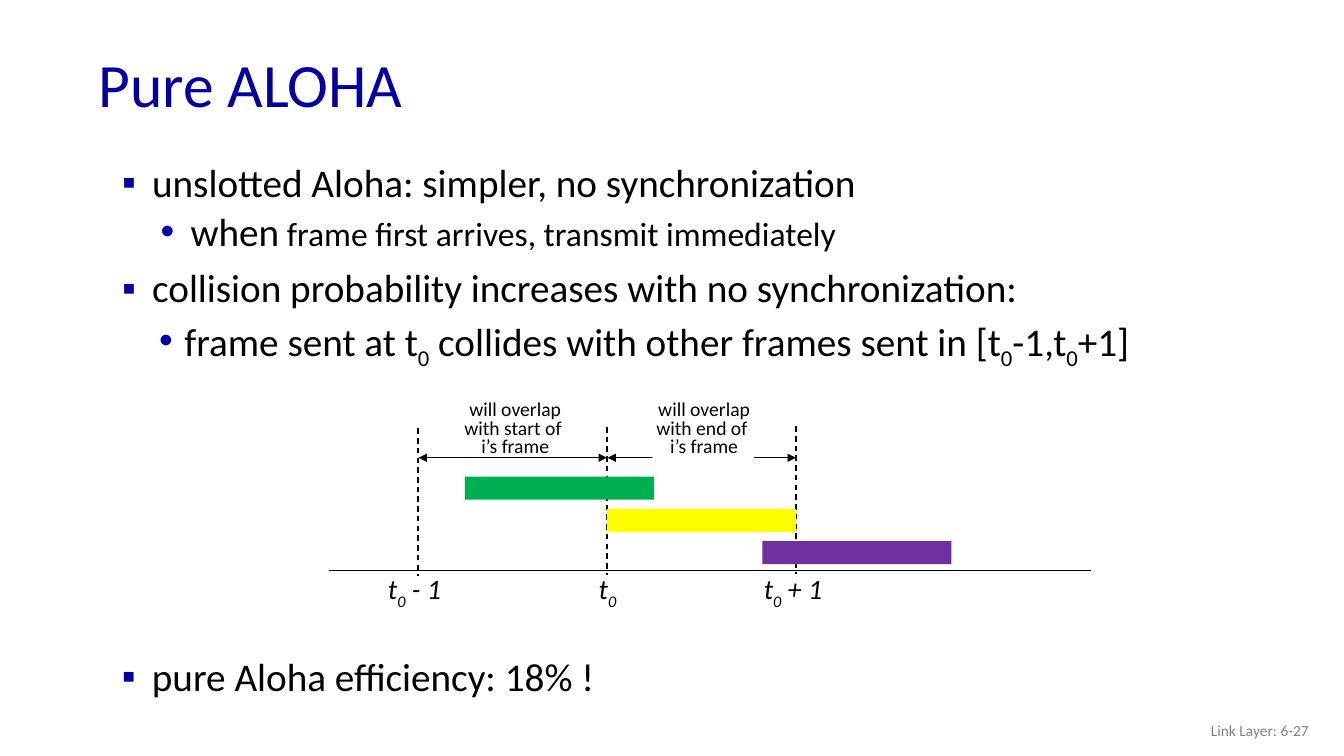
import pptx
import pptx.dml.color
import pptx.enum.dml
import pptx.enum.shapes
import pptx.enum.text
import pptx.oxml.ns
import pptx.util
from lxml import etree

Pt = pptx.util.Pt
ALIGN = pptx.enum.text.PP_ALIGN
ANCHOR = pptx.enum.text.MSO_ANCHOR
NO_FIT = pptx.enum.text.MSO_AUTO_SIZE.NONE
FONT = "Calibri"
BLUE = "0000A3"

T0 = 433.5
FRAME = 135
AXIS_Y = 407.5
ARROW_Y = 327

# level, left margin, hanging indent, runs as (text, size); ~ encloses subscripts
MAIN_POINTS = [
    (0, 31.5, 21.5, [("unslotted Aloha: simpler, no synchronization", 28)]),
    (1, 59, 21.5, [("when", 28), (" frame first arrives, transmit immediately", 24)]),
    (0, 31.5, 21.5, [("collision probability increases with no synchronization:", 28)]),
    (1, 54.5, 18, [("frame sent at t~0~ collides with other frames sent in [t~0~-1,t~0~+1]", 28)]),
]
EFFICIENCY = [(0, 31.5, 21.5, [("pure Aloha efficiency: 18% !", 28)])]


def rgb(color):
    return pptx.dml.color.RGBColor.from_string(color)


def add_child(parent, tag, **attrs):
    return etree.SubElement(parent, pptx.oxml.ns.qn(tag), **attrs)


def place(s, left, top, width, height):
    s.left, s.top, s.width, s.height = Pt(left), Pt(top), Pt(width), Pt(height)


def add_runs(p, text, size, color="000000", italic=False):
    """Write text into p, lowering the parts enclosed by ~."""
    for i, part in enumerate(text.split("~")):
        if not part:
            continue
        r = p.add_run()
        r.text = part
        r.font.name = FONT
        r.font.size = Pt(size)
        r.font.italic = italic
        r.font.color.rgb = rgb(color)
        if i % 2:
            r.font._element.set("baseline", "-25000")


def add_bullet(p, level, margin, hanging):
    char, color = (("▪", BLUE), ("•", "0000A8"))[level]
    pPr = p._p.get_or_add_pPr()
    pPr.set("marL", str(Pt(margin)))
    pPr.set("indent", str(-Pt(hanging)))
    add_child(add_child(pPr, "a:buClr"), "a:srgbClr", val=color)
    add_child(pPr, "a:buFont", typeface="Arial")
    add_child(pPr, "a:buChar", char=char)


def fill_list(tf, points):
    tf.word_wrap = True
    tf.auto_size = NO_FIT
    for i, (level, margin, hanging, runs) in enumerate(points):
        p = tf.add_paragraph() if i else tf.paragraphs[0]
        p.level = level
        p.line_spacing = 0.9
        p.space_before = Pt((10, 5)[level] if i else 0)
        add_bullet(p, level, margin, hanging)
        for text, size in runs:
            add_runs(p, text, size)


def add_text(slide, box, lines, size, color="000000", align=ALIGN.LEFT,
             spacing=1.0, italic=False):
    s = slide.shapes.add_textbox(*map(Pt, box))
    tf = s.text_frame
    tf.word_wrap = False
    for i, line in enumerate(lines):
        p = tf.add_paragraph() if i else tf.paragraphs[0]
        p.alignment = align
        p.line_spacing = spacing
        add_runs(p, line, size, color, italic)
    return s


def add_line(slide, x1, y1, x2, y2, dashed=False, arrows=False):
    kind = pptx.enum.shapes.MSO_CONNECTOR.STRAIGHT
    s = slide.shapes.add_connector(kind, Pt(x1), Pt(y1), Pt(x2), Pt(y2))
    s.line.color.rgb = rgb("000000")
    s.line.width = Pt(1)
    if dashed:
        s.line.dash_style = pptx.enum.dml.MSO_LINE.DASH
    if arrows:
        for tag in ("a:headEnd", "a:tailEnd"):
            add_child(s.line._get_or_add_ln(), tag, type="triangle")
    add_child(s._element.spPr, "a:effectLst")


def add_bar(slide, left, top, width, height, color):
    kind = pptx.enum.shapes.MSO_SHAPE.RECTANGLE
    s = slide.shapes.add_shape(kind, Pt(left), Pt(top), Pt(width), Pt(height))
    s.shadow.inherit = False
    s.fill.solid()
    s.fill.fore_color.rgb = rgb(color)
    s.line.fill.background()


def add_title(slide, text):
    s = slide.shapes.title
    place(s, 63, 27.5, 828, 70.5)
    tf = s.text_frame
    tf.auto_size = NO_FIT
    tf.vertical_anchor = ANCHOR.MIDDLE
    p = tf.paragraphs[0]
    p.alignment = ALIGN.LEFT
    p.line_spacing = 0.9
    add_runs(p, text, 44, BLUE)


def add_timeline(slide):
    for start in (T0 - FRAME, T0):
        add_line(slide, start + 0.5, ARROW_Y, start + FRAME, ARROW_Y, arrows=True)
    add_bar(slide, 466, 323.5, 72.5, 5.5, "FFFFFF")
    add_line(slide, 235, AXIS_Y, 779, AXIS_Y)

    moments = [(-1, 306, 270, 60, "t~0~ - 1"), (0, 305, 420.5, 31.5, "t~0~"),
               (1, 304.5, 538.5, 64, "t~0~ + 1")]
    for step, top, left, width, label in moments:
        x = T0 + step * FRAME
        add_line(slide, x, top, x, top + 105.5, dashed=True)
        add_text(slide, (left, 405, width, 38), [label], 20, italic=True)

    frames = [(332, "00B050"), (T0, "FFFF00"), (544.5, "7030A0")]
    for i, (left, color) in enumerate(frames):
        add_bar(slide, left, 340.5 + 23 * i, FRAME, 16.5, color)

    for left, width, part in [(319, 98, "start"), (456.5, 93, "end")]:
        lines = ["will overlap", f"with {part} of ", "i’s frame"]
        add_text(slide, (left, 283, width, 59), lines, 14,
                 align=ALIGN.CENTER, spacing=0.8)


def main():
    prs = pptx.Presentation()
    prs.slide_width, prs.slide_height = Pt(960), Pt(540)
    slide = prs.slides.add_slide(prs.slide_layouts[1])

    add_title(slide, "Pure ALOHA")
    body = slide.placeholders[1]
    place(body, 70, 113, 828, 182)
    fill_list(body.text_frame, MAIN_POINTS)
    add_timeline(slide)
    efficiency = slide.shapes.add_textbox(Pt(70), Pt(466), Pt(828), Pt(49))
    fill_list(efficiency.text_frame, EFFICIENCY)
    number = add_text(slide, (726, 507.5, 216, 29), ["Link Layer: 6-27"], 11,
                      "808080", ALIGN.RIGHT)
    number.text_frame.word_wrap = True
    number.text_frame.vertical_anchor = ANCHOR.MIDDLE

    prs.save("out.pptx")


if __name__ == "__main__":
    main()
